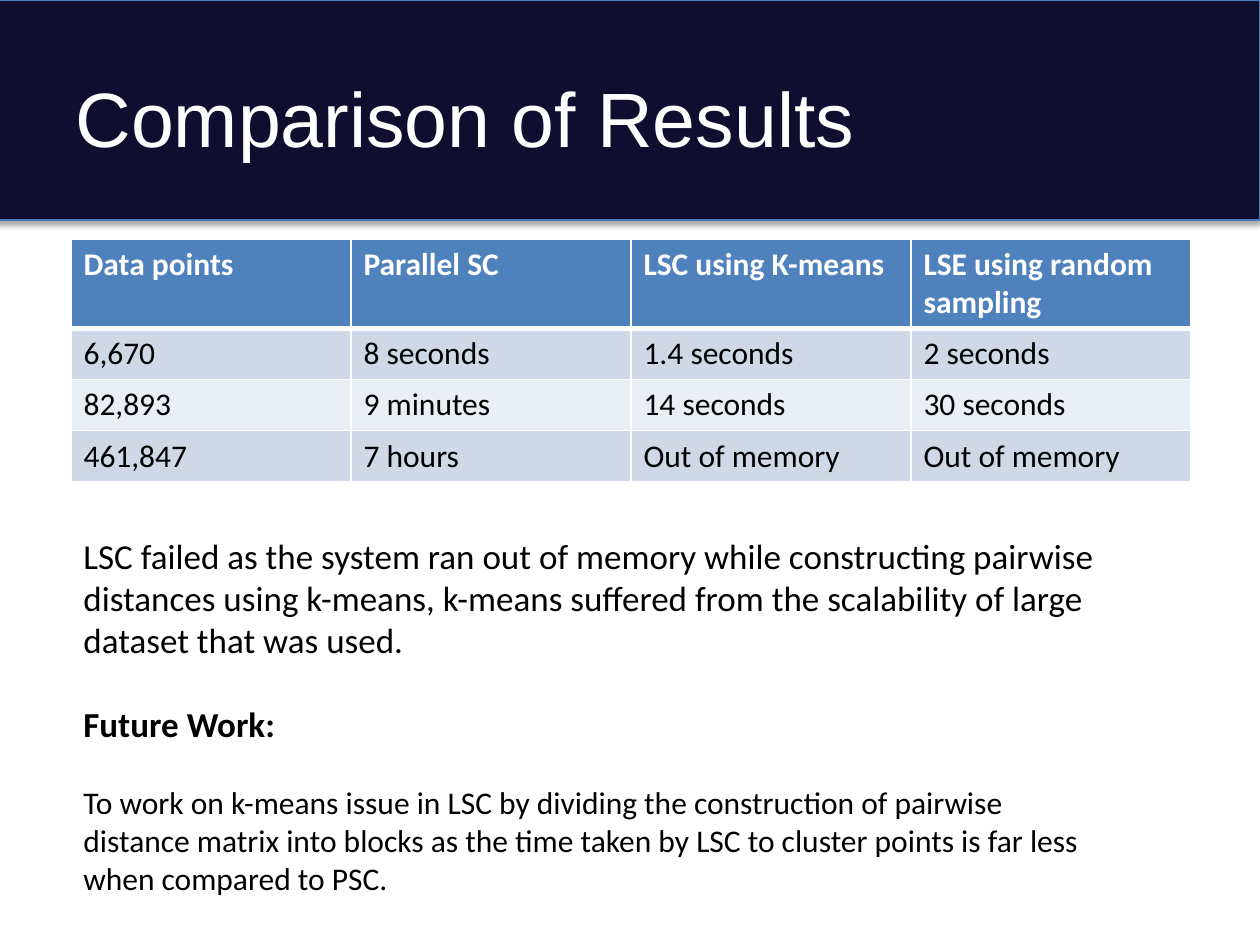
import pptx
import pptx.dml.color
import pptx.enum.shapes
import pptx.enum.text
import pptx.oxml
import pptx.oxml.ns
import pptx.util

EMU_PER_PX = 914400 / 126
NAVY, BLUE, WHITE, BLACK = "100E2F", "4F81BD", "FFFFFF", "000000"
BANDS = ("D0D8E8", "E9EDF4")
RESULTS = [
    ("Data points", "Parallel SC", "LSC using K-means", "LSE using random sampling"),
    ("6,670", "8 seconds", "1.4 seconds", "2 seconds"),
    ("82,893", "9 minutes", "14 seconds", "30 seconds"),
    ("461,847", "7 hours", "Out of memory", "Out of memory"),
]
DISCUSSION = [
    ("LSC failed as the system ran out of memory while constructing pairwise "
     "distances using k-means, k-means suffered from the scalability of large "
     "dataset that was used.", 20, False, 0),
    ("Future Work:", 20, True, 24.4),
    ("To work on k-means issue in LSC by dividing the construction of pairwise "
     "distance matrix into blocks as the time taken by LSC to cluster points is "
     "far less when compared to PSC.", 18, False, 22),
]


def px(length):
    return pptx.util.Emu(round(length * EMU_PER_PX))


def rgb(hex_colour):
    return pptx.dml.color.RGBColor.from_string(hex_colour)


def paint(fill, hex_colour):
    fill.solid()
    fill.fore_color.rgb = rgb(hex_colour)


def add_run(paragraph, text, size, colour=BLACK, bold=False, font="Calibri"):
    run = paragraph.add_run()
    run.text = text
    run.font.name = font
    run.font.size = pptx.util.Pt(size)
    run.font.bold = bold
    run.font.color.rgb = rgb(colour)


def add_title(slide, text):
    title = slide.shapes.title
    title.left, title.top, title.width, title.height = map(px, (63, 38, 1134, 157))
    frame = title.text_frame
    frame.vertical_anchor = pptx.enum.text.MSO_ANCHOR.MIDDLE
    frame.paragraphs[0].alignment = pptx.enum.text.PP_ALIGN.LEFT
    add_run(frame.paragraphs[0], text, 44, WHITE, font="Arial")


def add_banner(slide):
    banner = slide.shapes.add_shape(
        pptx.enum.shapes.MSO_SHAPE.RECTANGLE, px(-5), px(0), px(1265), px(220))
    paint(banner.fill, NAVY)
    banner.line.color.rgb = rgb("4B7EBC")
    banner.line.width = pptx.util.Pt(0.75)
    banner.shadow.inherit = False
    effects = banner.element.spPr.find(pptx.oxml.ns.qn("a:effectLst"))
    effects.append(pptx.oxml.parse_xml(
        f'<a:outerShdw {pptx.oxml.ns.nsdecls("a")} blurRad="{pptx.util.Pt(3.1)}" '
        f'dist="{pptx.util.Pt(1.8)}" dir="5400000" rotWithShape="0">'
        f'<a:srgbClr val="{BLACK}"><a:alpha val="35000"/></a:srgbClr></a:outerShdw>'))
    slide.shapes.title.element.addprevious(banner.element)


def add_borders(cell, top, bottom):
    properties = cell._tc.get_or_add_tcPr()
    for side, width in (("L", 1), ("R", 1), ("T", top), ("B", bottom)):
        properties.append(pptx.oxml.parse_xml(
            f'<a:ln{side} {pptx.oxml.ns.nsdecls("a")} w="{pptx.util.Pt(width)}">'
            f'<a:solidFill><a:srgbClr val="{WHITE}"/></a:solidFill></a:ln{side}>'))


def add_results(slide):
    table = slide.shapes.add_table(
        len(RESULTS), len(RESULTS[0]), px(71), px(239), px(1120), px(241)).table
    for column in table.columns:
        column.width = px(280)
    for index, values in enumerate(RESULTS):
        header = index == 0
        table.rows[index].height = px(88 if header else 51)
        for cell, value in zip(table.rows[index].cells, values):
            add_borders(cell, 3 if index == 1 else 1, 3 if header else 1)
            paint(cell.fill, BLUE if header else BANDS[(index - 1) % 2])
            add_run(cell.text_frame.paragraphs[0], value, 18,
                    WHITE if header else BLACK, header)


def add_discussion(slide):
    frame = slide.shapes.add_textbox(px(71), px(528), px(1042), px(416)).text_frame
    frame.word_wrap = True
    frame.auto_size = pptx.enum.text.MSO_AUTO_SIZE.SHAPE_TO_FIT_TEXT
    for index, (text, size, bold, gap) in enumerate(DISCUSSION):
        paragraph = frame.add_paragraph() if index else frame.paragraphs[0]
        paragraph.space_before = pptx.util.Pt(gap)
        add_run(paragraph, text, size, bold=bold)


def main():
    presentation = pptx.Presentation()
    presentation.slide_width, presentation.slide_height = px(1260), px(945)
    slide = presentation.slides.add_slide(presentation.slide_layouts[5])
    paint(slide.background.fill, WHITE)
    add_title(slide, "Comparison of Results")
    add_banner(slide)
    add_results(slide)
    add_discussion(slide)
    presentation.save("out.pptx")


if __name__ == "__main__":
    main()
